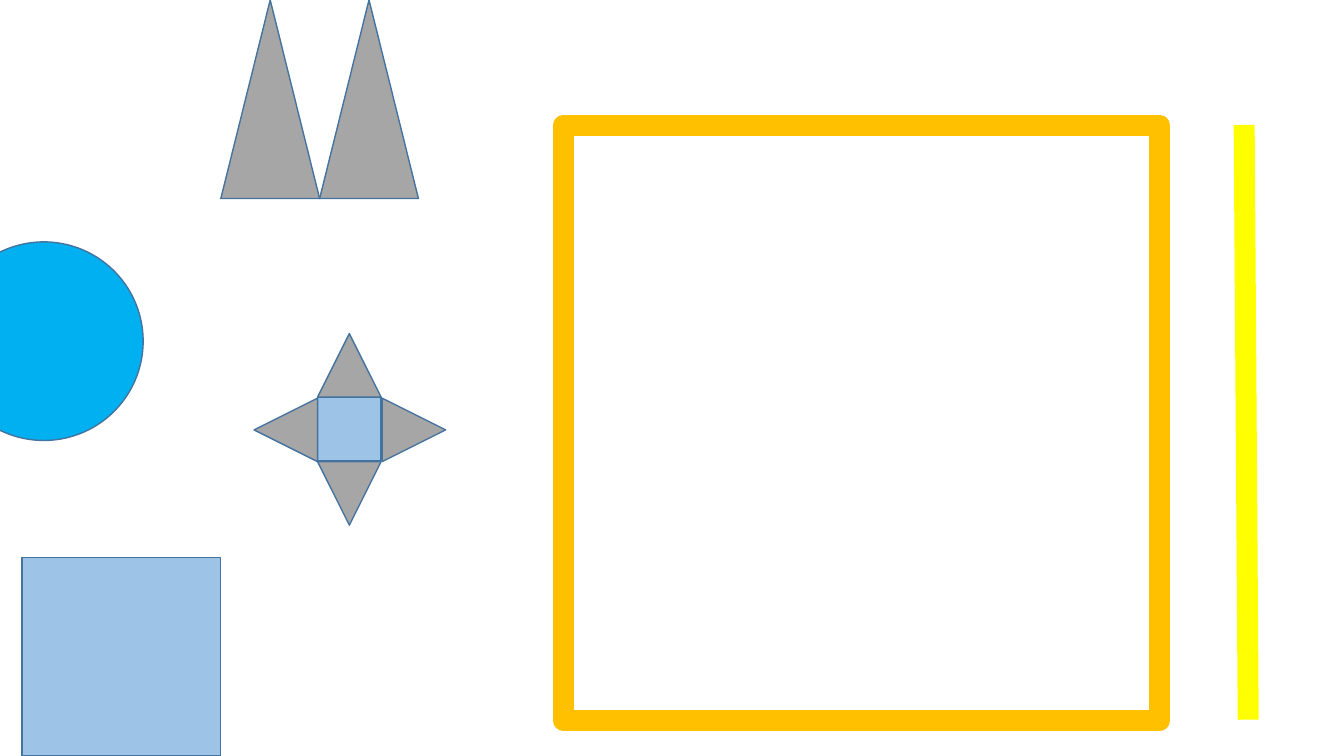
from pptx import Presentation
from pptx.enum.shapes import MSO_CONNECTOR, MSO_SHAPE
from pptx.util import Inches, Pt
from pptx.dml.color import RGBColor
from lxml.etree import SubElement
from pptx.oxml.ns import qn

COLORS = {
    "square": "9DC3E6",
    "circle": "00B0F0",
    "triangle": "A6A6A6",
    "outline": "43739E",
    "frame": "FFC000",
    "bar": "FFFF00",
}

presentation = Presentation()
presentation.slide_width = Inches(13.33)
presentation.slide_height = Inches(7.5)
slide = presentation.slides.add_slide(presentation.slide_layouts[6])


def add_figure(preset, left, top, width, height, fill, line="outline", weight=1, rotation=0):
    shape = slide.shapes.add_shape(
        preset, Inches(left), Inches(top), Inches(width), Inches(height))
    shape.shadow.inherit = False
    shape.rotation = rotation
    if fill:
        shape.fill.solid()
        shape.fill.fore_color.rgb = RGBColor.from_string(COLORS[fill])
    else:
        shape.fill.background()
    shape.line.color.rgb = RGBColor.from_string(COLORS[line])
    shape.line.width = Pt(weight)


large = 1.97
small = 0.63

add_figure(MSO_SHAPE.RECTANGLE, 0.22, 5.53, large, large, "square")
add_figure(MSO_SHAPE.RECTANGLE, 5.59, 1.24, 5.91, 5.91, None, "frame", 15)
add_figure(MSO_SHAPE.OVAL, -0.55, 2.4, large, large, "circle")
for left in (2.19, 3.17):
    add_figure(MSO_SHAPE.ISOSCELES_TRIANGLE, left, 0, 0.98, large, "triangle")

bar = slide.shapes.add_connector(
    MSO_CONNECTOR.STRAIGHT, Inches(12.34), Inches(1.24), Inches(12.38), Inches(7.14))
bar.line.color.rgb = RGBColor.from_string(COLORS["bar"])
bar.line.width = Pt(15)
SubElement(bar._element.spPr, qn("a:effectLst"))

add_figure(MSO_SHAPE.RECTANGLE, 3.15, 3.94, small, small, "square")
star_points = [(3.15, 3.31, 0), (2.52, 3.95, 270), (3.15, 4.58, 180), (3.79, 3.95, 90)]
for left, top, rotation in star_points:
    add_figure(MSO_SHAPE.ISOSCELES_TRIANGLE, left, top, small, small, "triangle",
               rotation=rotation)

presentation.save("out.pptx")
